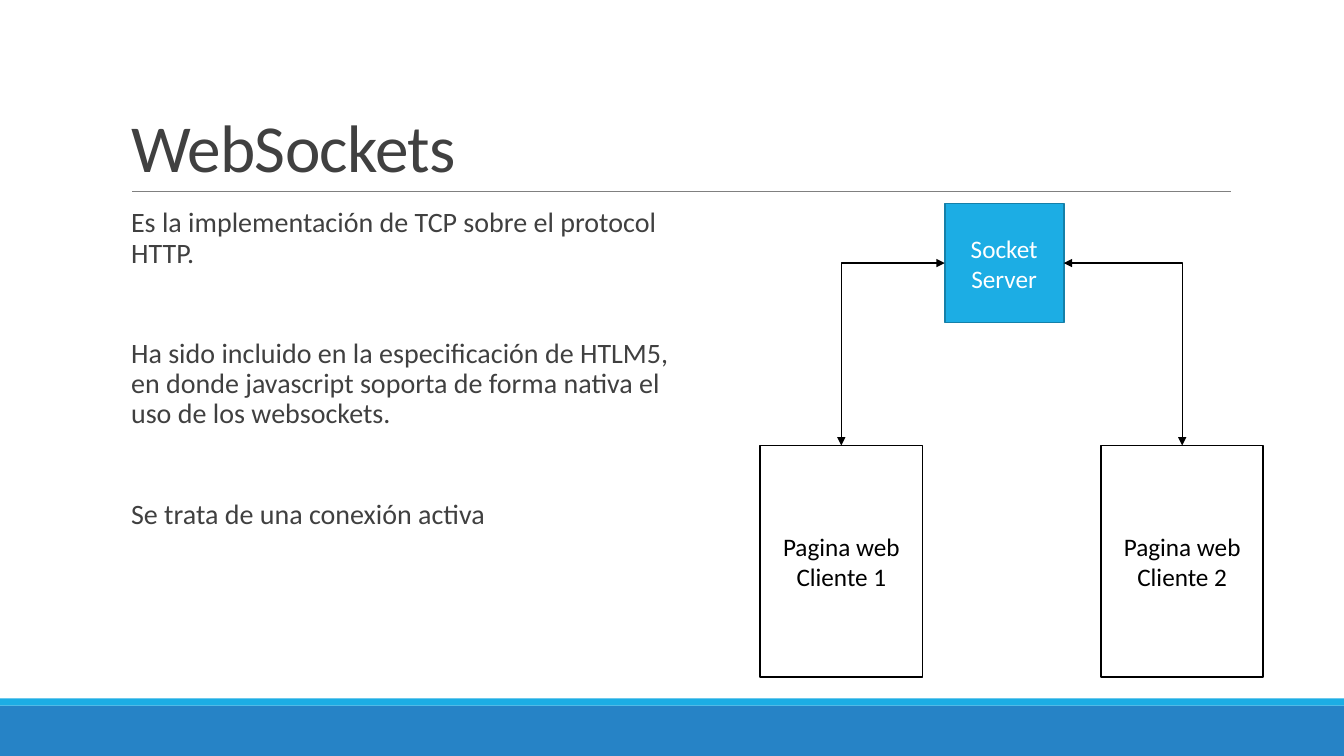
from dataclasses import dataclass

from lxml import etree
from pptx import Presentation
from pptx.dml.color import RGBColor
from pptx.enum.shapes import MSO_CONNECTOR, MSO_SHAPE
from pptx.enum.text import MSO_ANCHOR, MSO_AUTO_SIZE, PP_ALIGN
from pptx.oxml.ns import qn
from pptx.util import Inches, Pt

FONT = "Calibri"
GRAY, BLACK, WHITE = "404040", "000000", "FFFFFF"
SKY, BLUE, TEAL = "1CADE4", "2683C6", "1580A9"
PAGE_TOP, PAGE_WIDTH, PAGE_HEIGHT = 4.42, 1.61, 2.3
TOP_SITE, LEFT_SITE, RIGHT_SITE = 0, 1, 3


@dataclass
class Box:
    left: float
    top: float
    width: float
    height: float
    fill: str | None = None
    line: str | None = None
    lines: tuple[str, ...] = ()
    text_color: str = BLACK


def rgb(value: str) -> RGBColor:
    return RGBColor.from_string(value)


def place(shape, left: float, top: float, width: float, height: float) -> None:
    shape.left, shape.top = Inches(left), Inches(top)
    shape.width, shape.height = Inches(width), Inches(height)


def style_font(font, size: float, color: str) -> None:
    font.name, font.size = FONT, Pt(size)
    font.color.rgb = rgb(color)


def draw_box(slide, box: Box):
    shape = slide.shapes.add_shape(
        MSO_SHAPE.RECTANGLE, Inches(box.left), Inches(box.top), Inches(box.width), Inches(box.height)
    )
    shape.shadow.inherit = False
    if box.fill:
        shape.fill.solid()
        shape.fill.fore_color.rgb = rgb(box.fill)
    else:
        shape.fill.background()
    if box.line:
        shape.line.color.rgb = rgb(box.line)
        shape.line.width = Pt(1.25)
    else:
        shape.line.fill.background()
    if box.lines:
        frame = shape.text_frame
        frame.text = "\n".join(box.lines)
        frame.vertical_anchor = MSO_ANCHOR.MIDDLE
        for paragraph in frame.paragraphs:
            paragraph.alignment = PP_ALIGN.CENTER
            style_font(paragraph.runs[0].font, 18, box.text_color)
    return shape


def draw_connector(slide, kind, start: tuple[float, float], end: tuple[float, float], color: str, width: float):
    connector = slide.shapes.add_connector(kind, *map(Inches, start + end))
    connector.line.color.rgb = rgb(color)
    connector.line.width = Pt(width)
    etree.SubElement(connector._element.spPr, qn("a:effectLst"))
    return connector


def link(slide, server, site: int, page) -> None:
    connector = draw_connector(slide, MSO_CONNECTOR.ELBOW, (0, 0), (1, 1), BLACK, 1)
    connector.begin_connect(server, site)
    connector.end_connect(page, TOP_SITE)
    properties = connector._element.spPr
    properties.find(qn("a:prstGeom")).set("prst", "bentConnector2")
    for tag in ("a:headEnd", "a:tailEnd"):
        etree.SubElement(properties.find(qn("a:ln")), qn(tag), type="triangle")


def write_title(title, text: str) -> None:
    place(title, 1.2, 0.31, 11, 1.59)
    frame = title.text_frame
    frame.text = text
    frame.auto_size = MSO_AUTO_SIZE.NONE
    frame.vertical_anchor = MSO_ANCHOR.BOTTOM
    paragraph = frame.paragraphs[0]
    paragraph.alignment, paragraph.line_spacing = PP_ALIGN.LEFT, 0.85
    font = paragraph.runs[0].font
    style_font(font, 48, GRAY)
    font._element.set("spc", "-50")


def write_body(body, points: list[str]) -> None:
    place(body, 1.2, 2.02, 5.52, 4.4)
    frame = body.text_frame
    frame.text = "\n".join(points)
    frame.auto_size = MSO_AUTO_SIZE.NONE
    frame.margin_left = frame.margin_right = 0
    for index, paragraph in enumerate(frame.paragraphs):
        paragraph.line_spacing, paragraph.space_after = 0.9, Pt(2)
        paragraph.space_before = Pt(48 if index else 12)
        style_font(paragraph.runs[0].font, 20, GRAY)
        properties = paragraph._p.get_or_add_pPr()
        properties.set("marL", str(Inches(0.1)))
        properties.set("indent", "0")
        etree.SubElement(properties, qn("a:buNone"))


def main() -> None:
    """Build the WebSockets slide and save it."""
    deck = Presentation()
    deck.slide_width, deck.slide_height = Inches(13.33), Inches(7.5)
    slide = deck.slides.add_slide(deck.slide_layouts[1])

    draw_box(slide, Box(0, 7, 13.33, 0.5, BLUE))
    draw_box(slide, Box(0, 6.93, 13.33, 0.07, SKY))
    draw_connector(slide, MSO_CONNECTOR.STRAIGHT, (1.31, 1.9), (12.21, 1.9), "808080", 0.5)
    write_title(slide.shapes.title, "WebSockets")
    write_body(slide.placeholders[1], [
        "Es la implementación de TCP sobre el protocol HTTP.",
        "Ha sido incluido en la especificación de HTLM5, en donde javascript "
        "soporta de forma nativa el uso de los websockets.",
        "Se trata de una conexión activa",
    ])

    pages = [
        draw_box(slide, Box(left, PAGE_TOP, PAGE_WIDTH, PAGE_HEIGHT, line=BLACK,
                            lines=("Pagina web", f"Cliente {number}")))
        for number, left in enumerate((7.54, 10.92), start=1)
    ]
    server = draw_box(slide, Box(9.37, 2.02, 1.18, 1.18, SKY, TEAL, ("Socket", "Server"), WHITE))
    for site, page in zip((LEFT_SITE, RIGHT_SITE), pages):
        link(slide, server, site, page)

    deck.save("out.pptx")


main()
